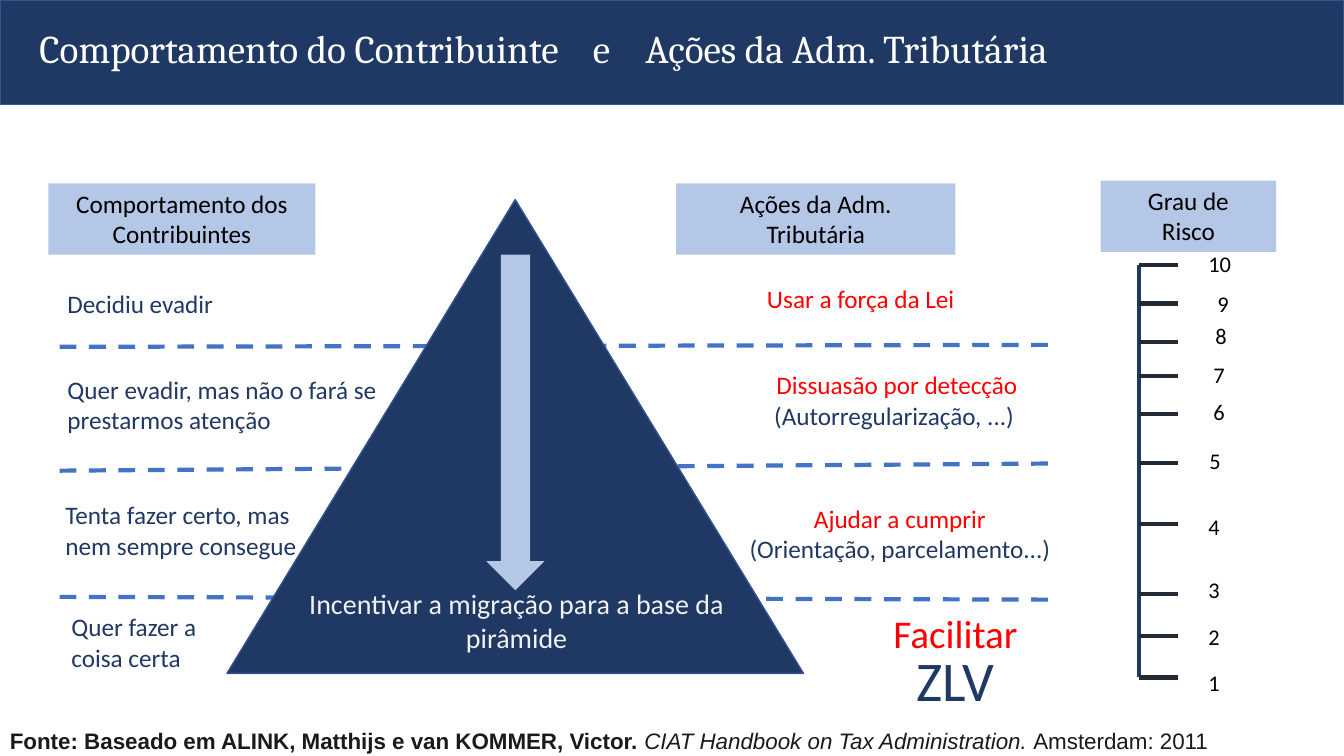
from pptx import Presentation
from pptx.dml.color import RGBColor
from pptx.enum import dml, shapes, text
from pptx.oxml import ns
from pptx.util import Cm, Pt
from lxml import etree

NAVY, PALE, BLUE, EDGE = "203864", "B4C7E7", "4472C4", "325491"
RED, BLACK, WHITE, SLATE, INK = "FF0000", "000000", "FFFFFF", "222A35", "1A1A1A"
LEFT, MID = text.PP_ALIGN.LEFT, text.PP_ALIGN.CENTER
FORM = shapes.MSO_SHAPE

TITLE = "Comportamento do Contribuinte\te\tAções da Adm. Tributária"
TABS = (13.95, 15.27)
HEADS = [
    ((1.22, 4.62, 6.73, 1.8), ("Comportamento dos", "Contribuintes")),
    ((17.04, 4.62, 7.04, 1.8), ("Ações da Adm.", "Tributária")),
    ((27.74, 4.55, 4.42, 1.8), ("Grau de", "Risco")),
]
BOUNDS = [(8.74, 8.69), (11.86, 11.68), (15.04, 15.11)]
HABITS = [
    ((1.45, 7.14, 8.38, 1.02), ["Decidiu evadir"]),
    ((1.45, 9.3, 8.38, 1.8), ["Quer evadir, mas não o fará se prestarmos atenção"]),
    ((1.4, 12.47, 6.78, 1.8), ["Tenta fazer certo, mas nem sempre consegue"]),
    ((1.55, 15.29, 6.78, 1.8), ["Quer fazer a", "coisa certa"]),
]
ACTIONS = [
    ((16.51, 7.01, 10.36, 1.02), [("Usar a força da Lei", 18, RED)]),
    ((17.04, 9.19, 11.13, 1.8), [("Dissuasão por detecção", 18, RED),
                                 ("(Autorregularização, ...) ", 18, NAVY)]),
    ((18.49, 12.55, 8.38, 1.8), [("Ajudar a cumprir", 18, RED),
                                 ("(Orientação, parcelamento...)", 18, NAVY)]),
    ((19.89, 15.24, 8.38, 2.24), [("Facilitar", 28, RED)]),
    ((19.89, 16.15, 8.38, 1.96), [("ZLV", 40, NAVY)]),
]
GOAL = "Incentivar a migração para a base da pirâmide"
RISKS = [
    ("10", 6.68, 30.2, 6.17), ("9", 7.65, 30.43, 7.19),
    ("8", 8.61, 30.38, 8.0), ("7", 9.47, 30.33, 8.97),
    ("6", 10.44, 30.33, 9.91), ("5", 11.66, 30.23, 11.15),
    ("4", 13.21, 30.2, 12.8), ("3", 14.96, 30.2, 14.4),
    ("2", 16.03, 30.2, 15.57), ("1", 17.07, 30.2, 16.74),
]
SOURCE = [
    ("Fonte: Baseado em ALINK, Matthijs e van KOMMER, Victor. ", True, False),
    ("CIAT Handbook on Tax Administration. ", False, True),
    ("Amsterdam: 2011", False, False),
]

deck = Presentation()
deck.slide_width, deck.slide_height = Cm(33.87), Cm(19.05)
slide = deck.slides.add_slide(deck.slide_layouts[5])


def paint(tone):
    return RGBColor.from_string(tone)


def place(box):
    return [Cm(side) for side in box]


def add_run(para, words, size, tone, face="Calibri", bold=False, slant=False):
    run = para.add_run()
    run.text = words
    font = run.font
    font.size, font.name, font.bold, font.italic = Pt(size), face, bold, slant
    font.color.rgb = paint(tone)


def fill_text(frame, rows, align):
    frame.word_wrap = True
    for i, (words, size, tone) in enumerate(rows):
        para = frame.add_paragraph() if i else frame.paragraphs[0]
        para.alignment = align
        add_run(para, words, size, tone)


def add_text(box, rows, align=LEFT):
    fill_text(slide.shapes.add_textbox(*place(box)).text_frame, rows, align)


def add_form(kind, box, tone, edge=None):
    form = slide.shapes.add_shape(kind, *place(box))
    form.shadow.inherit = False
    form.fill.solid()
    form.fill.fore_color.rgb = paint(tone)
    if edge:
        form.line.color.rgb = paint(edge)
        form.line.width = Pt(1)
    else:
        form.line.fill.background()
    return form


def add_line(ends, tone, dash=None):
    link = slide.shapes.add_connector(shapes.MSO_CONNECTOR.STRAIGHT, *place(ends))
    link.line.color.rgb = paint(tone)
    link.line.width = Pt(3)
    if dash:
        link.line.dash_style = dash
    etree.SubElement(link._element.spPr, ns.qn("a:effectLst"))


def add_title():
    add_form(FORM.RECTANGLE, (0, 0, 33.87, 2.64), NAVY, EDGE)
    title = slide.shapes.title
    title.left, title.top, title.width, title.height = place((0.74, 0.48, 32.59, 1.45))
    slide.shapes._spTree.append(title._element)
    frame = title.text_frame
    frame.word_wrap = True
    frame.auto_size = text.MSO_AUTO_SIZE.NONE
    frame.vertical_anchor = text.MSO_ANCHOR.BOTTOM
    para = frame.paragraphs[0]
    para.alignment, para.line_spacing = LEFT, 0.9
    stops = etree.SubElement(para._p.get_or_add_pPr(), ns.qn("a:tabLst"))
    for stop in TABS:
        etree.SubElement(stops, ns.qn("a:tab"), pos=str(int(Cm(stop))), algn="l")
    add_run(para, TITLE, 28, WHITE, "Cambria")


def add_pyramid():
    for start, end in BOUNDS:
        add_line((1.5, start, 26.49, end), BLUE, dml.MSO_LINE.DASH)
    add_form(FORM.ISOSCELES_TRIANGLE, (5.72, 5.03, 14.53, 11.94), NAVY, EDGE)
    arrow = add_form(FORM.RIGHT_ARROW, (8.76, 9.91, 8.46, 1.47), PALE)
    arrow.rotation = 90
    add_text((7.29, 14.66, 11.46, 1.96), [(GOAL, 20, "F2F2F2")], MID)


def add_scale():
    axis = 28.71
    add_line((axis, RISKS[0][1], axis, RISKS[-1][1]), NAVY)
    for mark, level, left, top in RISKS:
        add_line((axis, level, axis + 0.97, level), SLATE)
        add_text((left, top, 1.78, 0.94), [(mark, 16, BLACK)])


def main():
    add_title()
    for box, words in HEADS:
        head = add_form(FORM.RECTANGLE, box, PALE)
        head.text_frame.vertical_anchor = text.MSO_ANCHOR.TOP
        fill_text(head.text_frame, [(row, 18, BLACK) for row in words], MID)
    add_pyramid()
    for box, words in HABITS:
        add_text(box, [(row, 18, NAVY) for row in words])
    for box, rows in ACTIONS:
        add_text(box, rows, MID)
    add_scale()
    foot = slide.shapes.add_textbox(*place((0, 18.19, 32.39, 0.94))).text_frame
    foot.word_wrap = True
    for words, bold, slant in SOURCE:
        add_run(foot.paragraphs[0], words, 16, INK, "Arial", bold, slant)
    deck.save("out.pptx")


if __name__ == "__main__":
    main()
